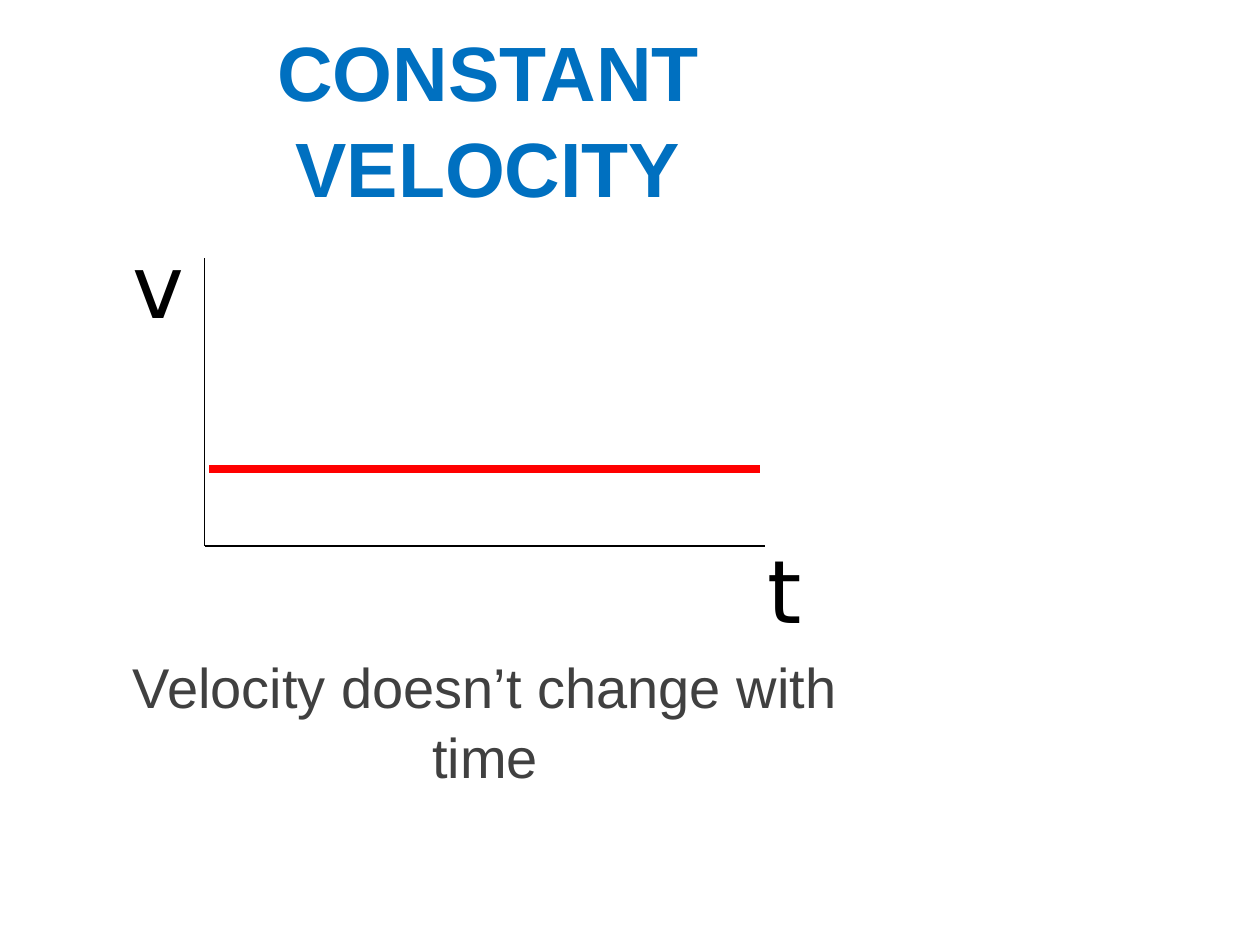
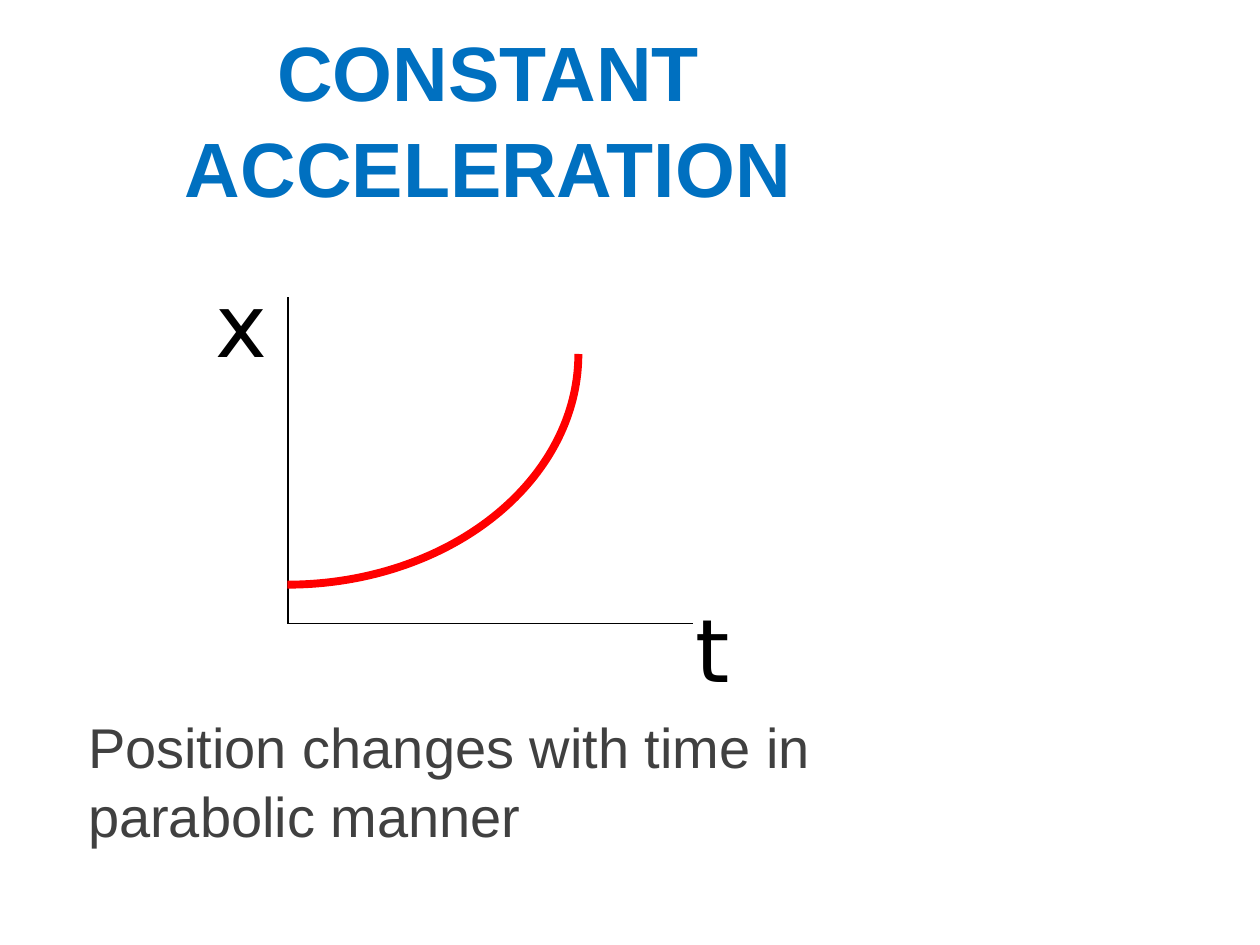
from dataclasses import dataclass

from lxml import etree
from pptx import Presentation
from pptx.dml.color import RGBColor
from pptx.enum import shapes, text
from pptx.oxml.ns import qn
from pptx.util import Pt


@dataclass(frozen=True)
class Theme:
    blue = RGBColor(0x00, 0x70, 0xC0)
    gray = RGBColor(0x40, 0x40, 0x40)
    black = RGBColor(0, 0, 0)
    red = RGBColor(0xFF, 0, 0)
    head = dict(name="Arial", size=Pt(44), bold=True)
    note = dict(name="Arial", size=Pt(32))
    mark = dict(name="DejaVu Sans", size=Pt(50))
    leading = 1.04
    thin = 0.75
    thick = 4.5


THEME = Theme()
LEFT, CENTER = text.PP_ALIGN.LEFT, text.PP_ALIGN.CENTER


def write(shape, words, style, color, align, **frame):
    """Fill a shape with one styled paragraph."""
    body = shape.text_frame
    for key, value in dict(word_wrap=True, **frame).items():
        setattr(body, key, value)
    para = body.paragraphs[0]
    para.text = words
    para.alignment = align
    para.line_spacing = THEME.leading
    for key, value in style.items():
        setattr(para.font, key, value)
    para.font.color.rgb = color


def add_title(slide, words):
    title = slide.shapes.title
    place = dict(left=36, top=21.6, width=486, height=90)
    for key, value in place.items():
        setattr(title, key, Pt(value))
    write(title, words, THEME.head, THEME.blue, CENTER,
          vertical_anchor=text.MSO_ANCHOR.MIDDLE,
          auto_size=text.MSO_AUTO_SIZE.NONE)


def add_note(slide, words, box, align):
    note = slide.shapes.add_textbox(*map(Pt, box))
    write(note, words, THEME.note, THEME.gray, align)


def add_mark(slide, letter, left, top):
    mark = slide.shapes.add_textbox(Pt(left), Pt(top), Pt(41.8), Pt(67.7))
    write(mark, letter, THEME.mark, THEME.black, LEFT,
          auto_size=text.MSO_AUTO_SIZE.SHAPE_TO_FIT_TEXT)


def stroke(shape, color, width):
    shape.line.color.rgb = color
    shape.line.width = Pt(width)


def add_line(slide, start, end, color, width):
    line = slide.shapes.add_connector(
        shapes.MSO_CONNECTOR.STRAIGHT, *map(Pt, (*start, *end)))
    stroke(line, color, width)
    etree.SubElement(line._element.spPr, qn("a:effectLst"))


def add_curve(slide, center, radii):
    """Draw the lower right quarter of an ellipse."""
    (x, y), (rx, ry) = center, radii
    arc = slide.shapes.add_shape(
        shapes.MSO_SHAPE.ARC, *map(Pt, (x - rx, y - ry, 2 * rx, 2 * ry)))
    arc.shadow.inherit = False
    arc.fill.background()
    # Angles in units of 100000/60000 degree: 0 to 90 degrees
    arc.adjustments[0], arc.adjustments[1] = 0, 54
    stroke(arc, THEME.red, THEME.thick)


def add_axes(slide, origin, top, right, letter, drop):
    """Draw both axes; drop is how far the t box starts above the axis."""
    x, y = origin
    for end in ((x, top), (right, y)):
        add_line(slide, origin, end, THEME.black, THEME.thin)
    add_mark(slide, letter, x - 48.4, top - 21.6)
    add_mark(slide, "t", right - 5.8, y - drop)


def main():
    deck = Presentation()
    deck.slide_width, deck.slide_height = Pt(720), Pt(540)
    layout = deck.slide_layouts[5]

    # Velocity over time: a flat line
    slide = deck.slides.add_slide(layout)
    add_title(slide, "CONSTANT VELOCITY")
    add_note(slide, "Velocity doesn’t change with time",
             (40.3, 367.9, 473.8, 87.8), CENTER)
    add_axes(slide, (117, 312), 147.6, 437, "v", 11.8)
    add_line(slide, (119.5, 267.8), (434.5, 267.8), THEME.red, THEME.thick)

    # Position over time: a rising curve
    slide = deck.slides.add_slide(layout)
    add_title(slide, "CONSTANT ACCELERATION")
    add_note(slide, "Position changes with time in parabolic manner",
             (43.2, 401.8, 473.8, 95.8), LEFT)
    add_axes(slide, (164.5, 356.4), 170, 396, "x", 22.3)
    add_curve(slide, (164.2, 202.3), (166.3, 131.8))

    deck.save("out.pptx")


if __name__ == "__main__":
    main()
